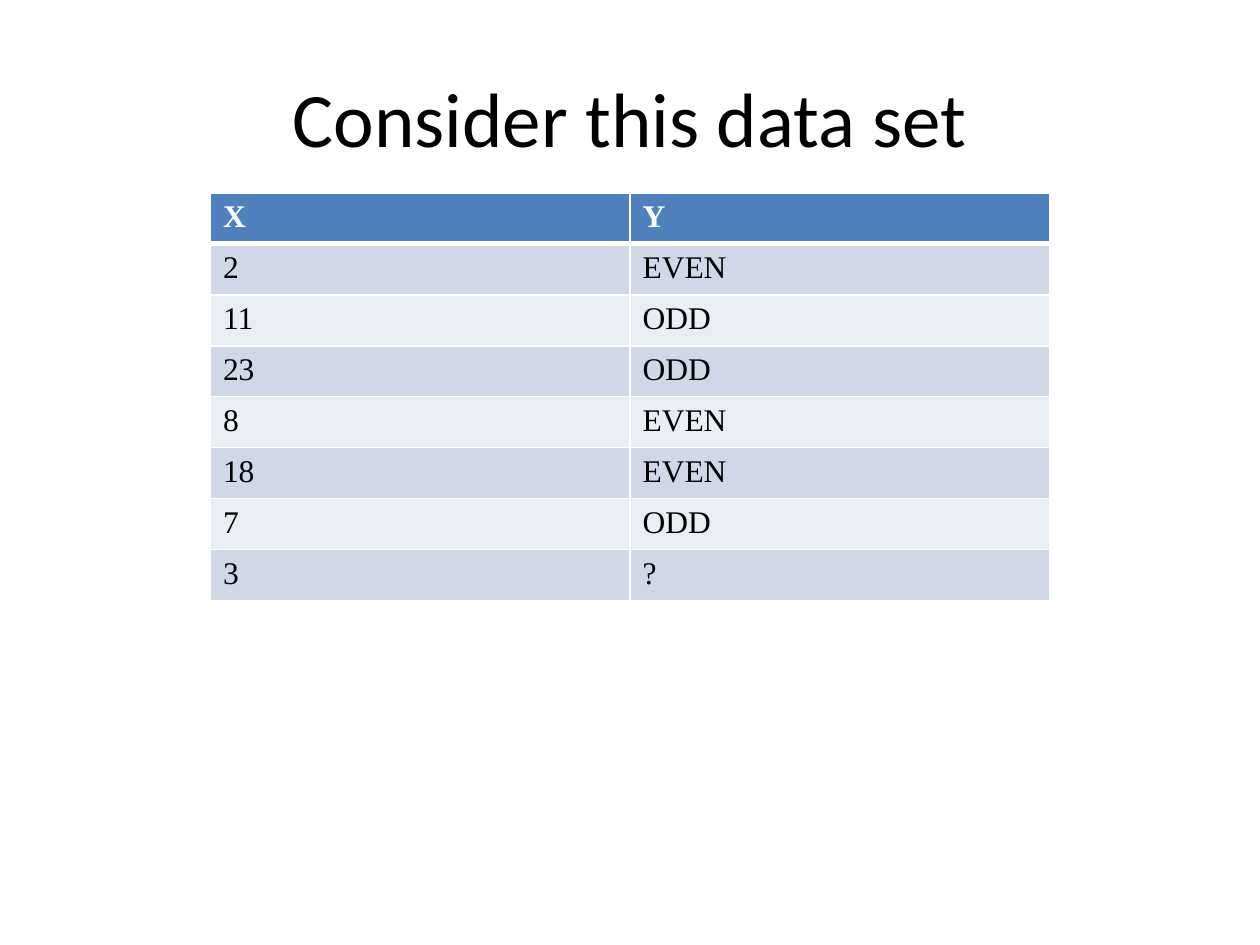
from lxml import etree
from pptx import Presentation
from pptx import util as u
from pptx.dml.color import RGBColor
from pptx.enum import text
from pptx.oxml.ns import qn

ROWS = [
    ("X", "Y"),
    ("2", "EVEN"),
    ("11", "ODD"),
    ("23", "ODD"),
    ("8", "EVEN"),
    ("18", "EVEN"),
    ("7", "ODD"),
    ("3", "?"),
]


def color(value):
    return RGBColor.from_string(value)


class Deck:
    """Hold the style and the current slide, and draw each kind of element."""

    title_font, table_font = "Calibri", "Times New Roman"
    ink, paper, header_fill = "000000", "FFFFFF", "4F81BD"
    bands = ("D0D8E8", "E9EDF4")

    def __init__(self, slide):
        self.slide = slide

    def set_font(self, paragraph, name, size, ink, bold=False):
        font = paragraph.font
        font.name, font.size, font.bold = name, u.Pt(size), bold
        font.color.rgb = color(ink)

    def title(self, wording, left, top, width, height):
        heading = self.slide.shapes.add_textbox(
            u.Inches(left), u.Inches(top), u.Inches(width), u.Inches(height)
        )
        frame = heading.text_frame
        frame.word_wrap = True
        frame.vertical_anchor = text.MSO_ANCHOR.MIDDLE
        paragraph = frame.paragraphs[0]
        paragraph.text = wording
        paragraph.alignment = text.PP_ALIGN.CENTER
        self.set_font(paragraph, self.title_font, 44, self.ink)

    def borders(self, cell, top, bottom):
        properties = cell._tc.get_or_add_tcPr()
        sides = {"a:lnL": 1, "a:lnR": 1, "a:lnT": top, "a:lnB": bottom}
        for place, (side, points) in enumerate(sides.items()):
            line = etree.Element(qn(side), w=str(u.Pt(points)))
            fill = etree.SubElement(line, qn("a:solidFill"))
            etree.SubElement(fill, qn("a:srgbClr"), val=self.paper)
            properties.insert(place, line)

    def table(self, rows, left, top, column_width, row_height):
        columns = len(rows[0])
        grid = self.slide.shapes.add_table(
            len(rows), columns, u.Inches(left), u.Inches(top),
            u.Inches(column_width * columns), u.Inches(row_height * len(rows)),
        ).table
        for r, values in enumerate(rows):
            header = r == 0
            fill = self.header_fill if header else self.bands[(r - 1) % 2]
            for c, value in enumerate(values):
                cell = grid.cell(r, c)
                cell.text = value
                cell.fill.solid()
                cell.fill.fore_color.rgb = color(fill)
                ink = self.paper if header else self.ink
                self.set_font(cell.text_frame.paragraphs[0], self.table_font, 18, ink, header)
                self.borders(cell, 3 if r == 1 else 1, 3 if header else 1)


def main():
    presentation = Presentation()
    presentation.slide_width, presentation.slide_height = u.Inches(10), u.Inches(7.5)
    deck = Deck(presentation.slides.add_slide(presentation.slide_layouts[6]))
    deck.title("Consider this data set", 0.5, 0.3, 9, 1.25)
    deck.table(ROWS, 1.67, 1.53, 3.33, 0.405)
    presentation.save("out.pptx")


if __name__ == "__main__":
    main()
